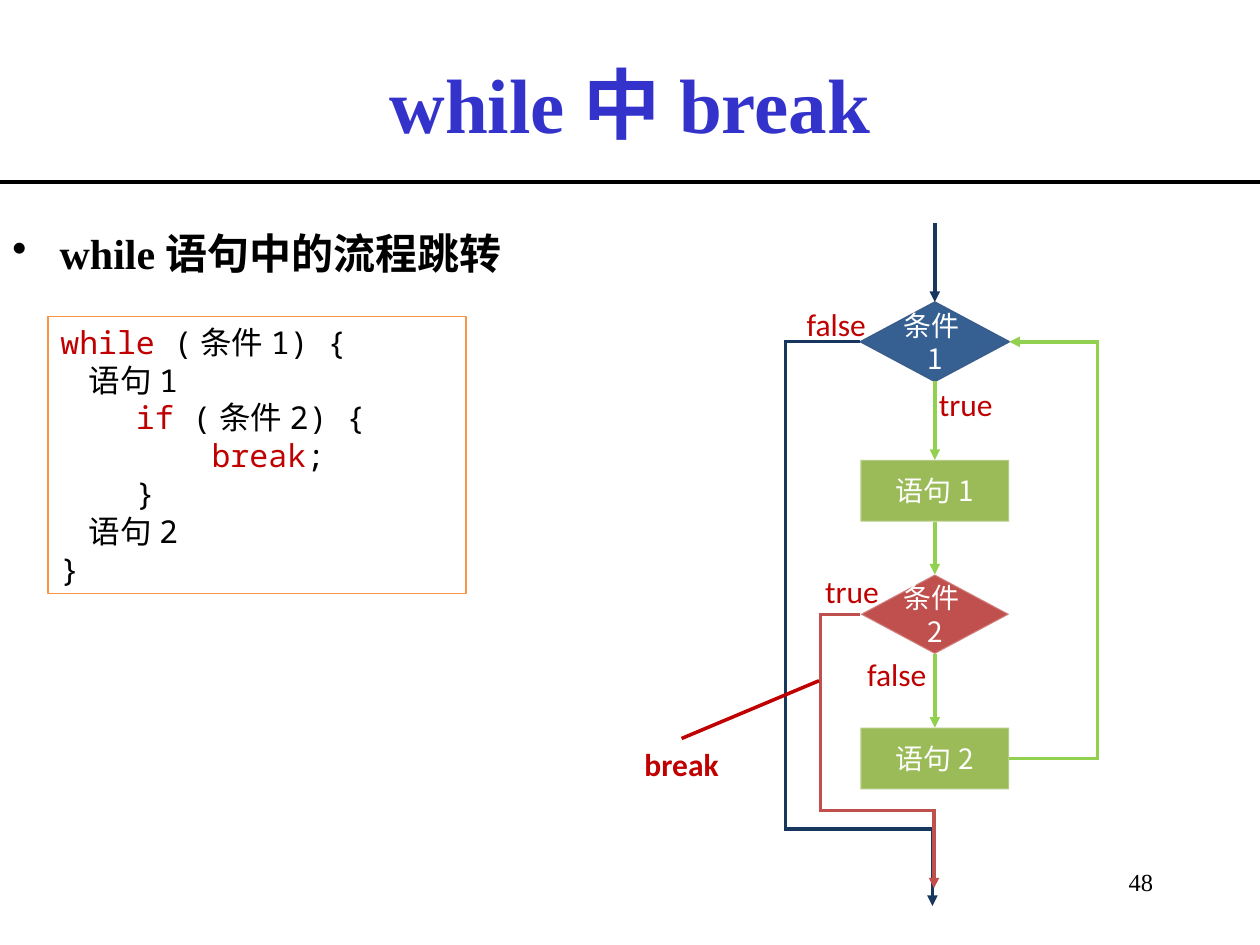
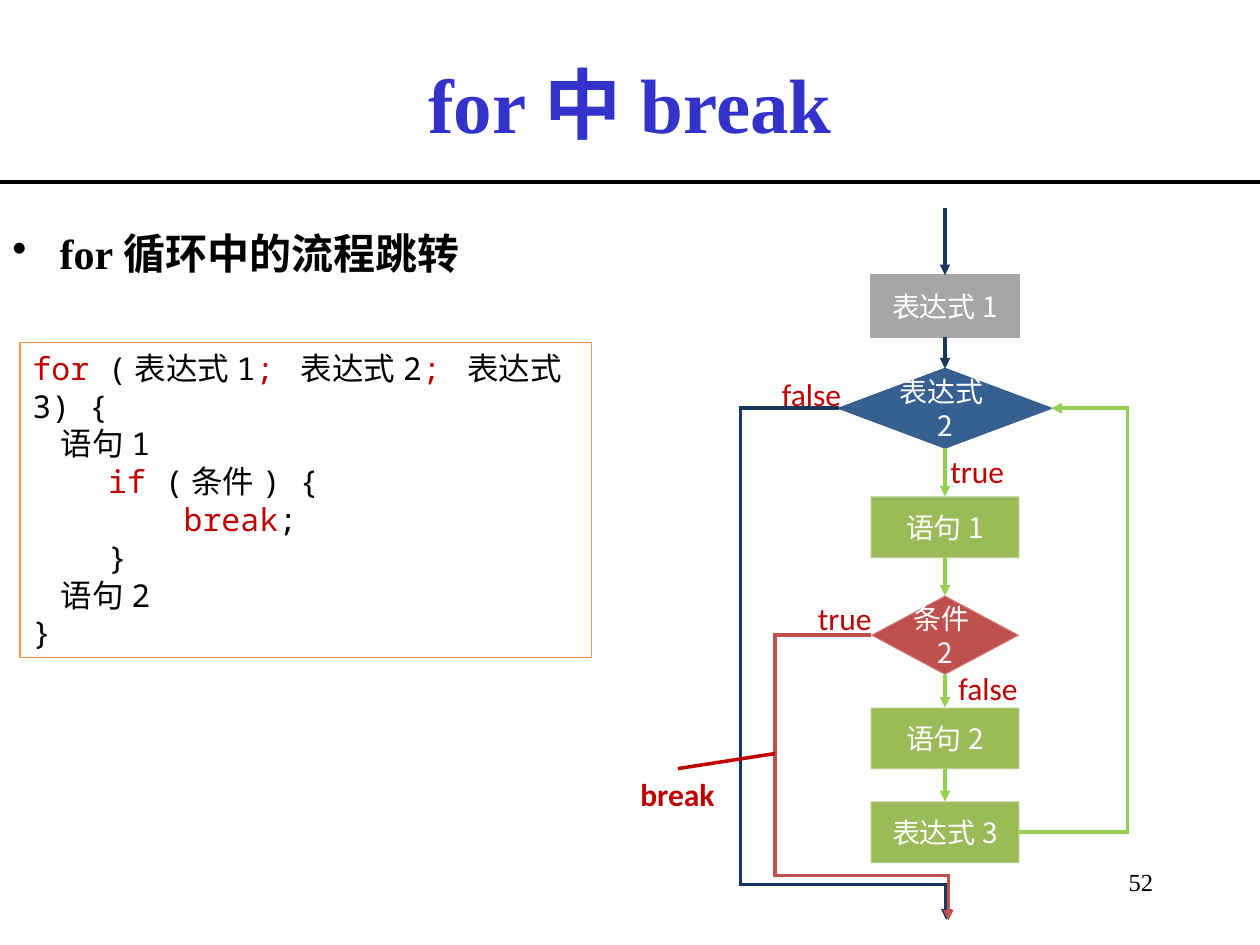
import pptx
import pptx.dml.color
import pptx.enum.shapes
import pptx.enum.text
import pptx.oxml
import pptx.oxml.ns
import pptx.util
import lxml.etree

Pt = pptx.util.Pt
PRESETS = pptx.enum.shapes.MSO_SHAPE
ALIGN = pptx.enum.text.PP_ALIGN
ANCHOR = pptx.enum.text.MSO_ANCHOR
rgb = pptx.dml.color.RGBColor.from_string
qn = pptx.oxml.ns.qn

COLORS = {
    "black": "000000", "white": "FFFFFF", "title": "3333CC",
    "keyword": "C00000", "code_border": "F79646",
    "entry": "17375E", "loop": "92D050",
    "test": "376092", "test_border": "385D8A",
    "statement": "9BBB59", "break": "C0504D", "init": "A6A6A6",
}
SERIF, SANS, CJK, MONO = "Times New Roman", "Calibri", "Noto Sans CJK SC", "Noto Sans Mono"
KEYWORDS = {"while", "for", "if", "break", "; "}
NODE_KINDS = {
    "test": (PRESETS.DIAMOND, 45.4, "test_border", 0.85),
    "break": (PRESETS.DIAMOND, 45.4, "white", 1.19),
    "statement": (PRESETS.RECTANGLE, 35.3, "white", 1.19),
    "init": (PRESETS.RECTANGLE, 35.3, "init", 0.85),
}
LOOP_BODY = [
    ["    语句1"],
    ["    ", "if"],
    ["        ", "break", ";"],
    ["    }"],
    ["    语句2"],
    ["}"],
]

SLIDES = [
    {
        "title": "while中break", "topic": "while语句中的流程跳转", "number": "48",
        "code_box": (27.4, 180.9, 239, 158.4),
        "code_head": ["while", " (条件1) {"], "branch": " (条件2) {",
        "axis": 534.2, "entry": 127.4,
        "nodes": [
            ("test", "条件1", 172.6, 85), ("statement", "语句1", 262.8, 85),
            ("break", "条件2", 328.3, 85), ("statement", "语句2", 415.8, 85),
        ],
        "loop_lane": 627.1,
        "test_exit": (448.8, 473.6, 532.8, 517.7),
        "break_exit": (468.9, 463, 533.7, 507.6),
        "labels": [("false", 453.8, 170.9), ("true", 529.4, 216.7),
                   ("false", 488.4, 371), ("true", 464.4, 323.3)],
        "break_label": (361.2, 422.1),
        "pointer": [(389.5, 422), (468, 389)],
    },
    {
        "title": "for中break", "topic": "for循环中的流程跳转", "number": "52",
        "code_box": (11.5, 195.8, 326.6, 180),
        "code_head": ["for", " (表达式1", "; ", "表达式2", "; ", "表达式3) {"],
        "branch": " (条件) {",
        "axis": 540, "entry": 118.8,
        "nodes": [
            ("init", "表达式1", 157.2, 85), ("test", "表达式2", 210.6, 121.4),
            ("statement", "语句1", 283.7, 85), ("break", "条件2", 340.3, 85),
            ("statement", "语句2", 404.3, 85), ("statement", "表达式3", 457.9, 85),
        ],
        "loop_lane": 644.2,
        "test_exit": (423.2, 505.4, 540.7, 525.6),
        "break_exit": (443, 500.4, 541.9, 526),
        "labels": [("false", 439.7, 211), ("true", 536, 254.6),
                   ("false", 540.5, 379), ("true", 460.3, 338.7)],
        "break_label": (358.8, 439.2),
        "pointer": [(387.4, 439.2), (443, 430.6)],
    },
]


def write(frame, lines, font=SANS, size=18, color="black", bold=False, align=ALIGN.LEFT,
          anchor=ANCHOR.TOP, margins=(7.2, 3.6, 7.2, 3.6), pitch=None, bullet=False):
    frame.word_wrap = True
    frame.vertical_anchor = anchor
    frame.margin_left, frame.margin_top, frame.margin_right, frame.margin_bottom = map(Pt, margins)
    for index, line in enumerate(lines):
        paragraph = frame.paragraphs[0] if index == 0 else frame.add_paragraph()
        paragraph.alignment = align
        if bullet:
            properties = paragraph._p.get_or_add_pPr()
            properties.set("marL", str(Pt(27)))
            properties.set("indent", str(-Pt(27)))
            lxml.etree.SubElement(properties, qn("a:buChar")).set("char", "•")
        if pitch:
            paragraph.line_spacing = Pt(pitch)
        for piece in line:
            run = paragraph.add_run()
            run.text = piece
            run.font.size = Pt(size)
            run.font.bold = bold
            highlighted = font == MONO and piece in KEYWORDS
            run.font.color.rgb = rgb(COLORS["keyword" if highlighted else color])
            run.font.name = font
            lxml.etree.SubElement(run._r.get_or_add_rPr(), qn("a:ea")).set("typeface", CJK)


def draw_route(slide, points, color, width=2, arrow=True):
    stops = [(Pt(x), Pt(y)) for x, y in points]
    if len(stops) == 2:
        route = slide.shapes.add_connector(
            pptx.enum.shapes.MSO_CONNECTOR.STRAIGHT, *stops[0], *stops[1])
    else:
        outline = slide.shapes.build_freeform(*stops[0])
        outline.add_line_segments(stops[1:], close=False)
        route = outline.convert_to_shape()
        route.fill.background()
        route.shadow.inherit = False
    route.line.color.rgb = rgb(COLORS[color])
    route.line.width = Pt(width)
    stroke = route.line._get_or_add_ln()
    lxml.etree.SubElement(stroke, qn("a:miter")).set("lim", "800000")
    if arrow:
        lxml.etree.SubElement(stroke, qn("a:tailEnd")).set("type", "triangle")
    if len(stops) == 2:
        lxml.etree.SubElement(route._element.spPr, qn("a:effectLst"))


presentation = pptx.Presentation()
presentation.slide_width = Pt(720)
presentation.slide_height = Pt(540)

for content in SLIDES:
    slide = presentation.slides.add_slide(presentation.slide_layouts[6])

    number = slide.shapes.add_textbox(Pt(588.2), Pt(491.8), Pt(77.8), Pt(36))
    write(number.text_frame, [[content["number"]]], font=SERIF, size=14, align=ALIGN.RIGHT)
    title = slide.shapes.add_textbox(Pt(0), Pt(13.7), Pt(720), Pt(90))
    write(title.text_frame, [[content["title"]]], font=SERIF, size=44, color="title", bold=True,
          align=ALIGN.CENTER, anchor=ANCHOR.MIDDLE)
    topic = slide.shapes.add_textbox(Pt(0), Pt(126.7), Pt(720), Pt(324))
    write(topic.text_frame, [[content["topic"]]], font=SERIF, size=24, bold=True, bullet=True)
    draw_route(slide, [(0, 104), (720, 104)], "black", width=2.25, arrow=False)

    code = slide.shapes.add_shape(PRESETS.RECTANGLE, *map(Pt, content["code_box"]))
    code.shadow.inherit = False
    code.fill.solid()
    code.fill.fore_color.rgb = rgb(COLORS["white"])
    code.line.color.rgb = rgb(COLORS["code_border"])
    code.line.width = Pt(0.85)
    code_lines = [content["code_head"]] + [
        line + [content["branch"]] if "if" in line else line for line in LOOP_BODY]
    write(code.text_frame, code_lines, font=MONO, pitch=21.6)

    axis = content["axis"]
    flow_end = content["entry"]
    flow_color = "entry"
    sides = {}
    for kind, caption, top, width in content["nodes"]:
        preset, height, border, border_width = NODE_KINDS[kind]
        left = axis - width / 2
        node = slide.shapes.add_shape(preset, Pt(left), Pt(top), Pt(width), Pt(height))
        node.shadow.inherit = False
        node.fill.solid()
        node.fill.fore_color.rgb = rgb(COLORS[kind])
        node.line.color.rgb = rgb(COLORS[border])
        node.line.width = Pt(border_width)
        if border == "white":
            border_color = node.line._get_or_add_ln().find(".//" + qn("a:srgbClr"))
            lxml.etree.SubElement(border_color, qn("a:alpha")).set("val", "25000")
        write(node.text_frame, [[caption]], font=CJK, size=16, color="white", align=ALIGN.CENTER,
              anchor=ANCHOR.MIDDLE, margins=(1, 0, 1, 0), pitch=19.2)
        draw_route(slide, [(axis, flow_end), (axis, top)], flow_color)
        flow_end = top + height
        if kind == "test":
            flow_color = "loop"
        sides[kind] = (left, left + width, top + height / 2)

    lane = content["loop_lane"]
    _, loop_start, loop_bottom = sides["statement"]
    _, loop_target, loop_top = sides["test"]
    draw_route(slide, [(loop_start, loop_bottom), (lane, loop_bottom),
                       (lane, loop_top), (loop_target, loop_top)], "loop")
    for kind, color in (("test", "entry"), ("break", "break")):
        exit_left, _, exit_top = sides[kind]
        lane, floor, end_x, end_y = content[kind + "_exit"]
        draw_route(slide, [(exit_left, exit_top), (lane, exit_top), (lane, floor),
                           (end_x, floor), (end_x, end_y)], color)

    for caption, left, top in content["labels"] + [("break", *content["break_label"])]:
        label = slide.shapes.add_textbox(Pt(left), Pt(top), Pt(60), Pt(28.8))
        write(label.text_frame, [[caption]], color="keyword", bold=caption == "break")
    draw_route(slide, content["pointer"], "keyword", arrow=False)

presentation.save("out.pptx")
